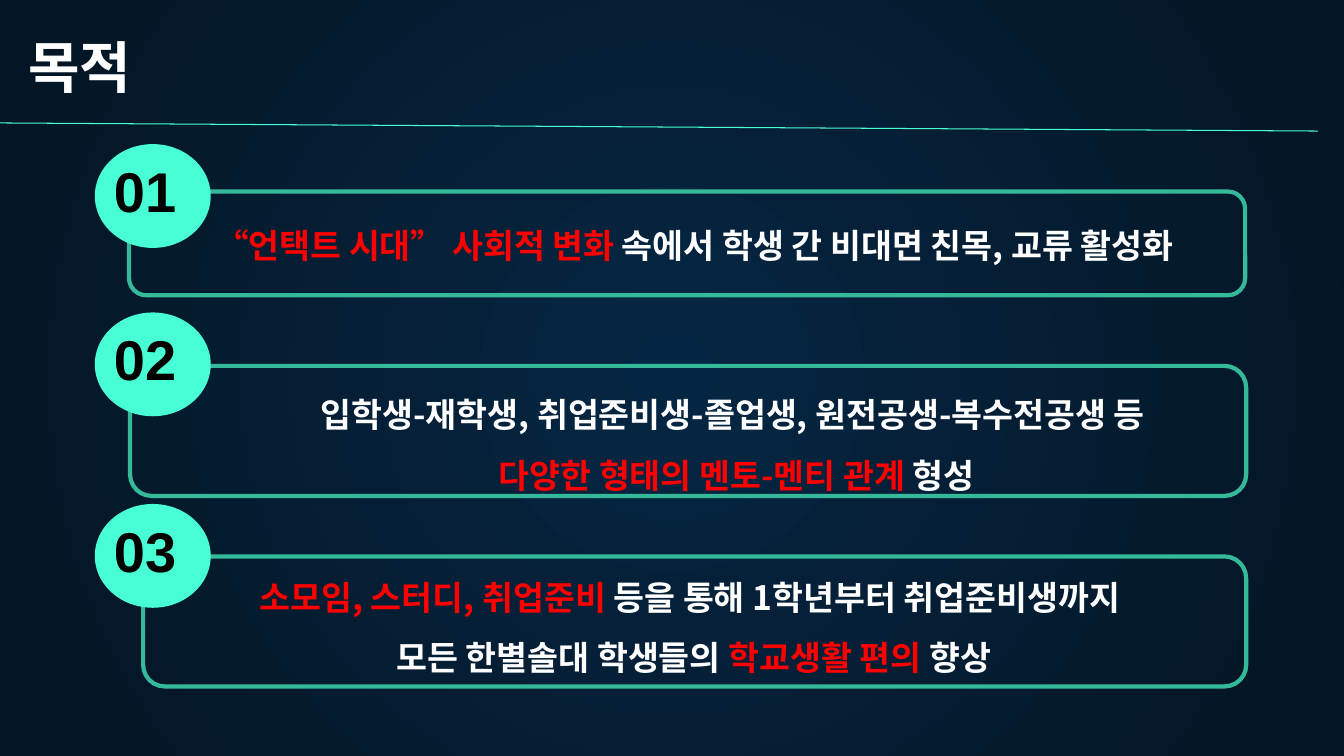
from pptx import Presentation
from pptx.dml.color import RGBColor
from pptx.enum import shapes, text
from pptx.oxml import parse_xml
from pptx.oxml.ns import nsdecls, qn
from pptx.util import Inches, Pt

WHITE = RGBColor(0xFF, 0xFF, 0xFF)
BLACK = RGBColor(0, 0, 0)
RED = RGBColor(0xFF, 0, 0)
MINT = RGBColor(0x48, 0xFF, 0xD5)
GREEN = RGBColor(0x34, 0xBA, 0x9B)
NAVY = RGBColor(0x05, 0x26, 0x43)
DARK = RGBColor(0x04, 0x15, 0x23)
KOREAN = "Noto Sans CJK KR"

GOALS = [
    ("01", 1.43, (1.28, 1.9, 11.07, 1.03), (1.35, 1.72, 11.07, 1.01), 1,
     [[("“언택트 시대” 사회적 변화 ", RED),
       ("속에서 학생 간 비대면 친목, 교류 활성화", WHITE)]]),
    ("02", 3.1, (1.29, 3.63, 11.07, 1.29), (1.65, 4.05, 11.31, 0.96), 1.5,
     [[("입학생-재학생, 취업준비생-졸업생, 원전공생-복수전공생 등 ", WHITE)],
      [("다양한 형태의 멘토-멘티 관계 ", RED), ("형성", WHITE)]]),
    ("03", 5, (1.42, 5.52, 10.94, 1.29), (0.69, 5.52, 12.38, 1.3), 1.5,
     [[("소모임, 스터디, 취업준비 ", RED),
       ("등을 통해 1학년부터 취업준비생까지 ", WHITE)],
      [("모든 한별솔대 학생들의 ", WHITE), ("학교생활 편의", RED),
       (" 향상", WHITE)]]),
]


def place(shape, box):
    shape.left, shape.top, shape.width, shape.height = map(Inches, box)


def write(shape, lines, size, face, align, inset, space=1):
    frame = shape.text_frame
    frame.word_wrap = True
    frame.auto_size = text.MSO_AUTO_SIZE.NONE
    frame.vertical_anchor = text.MSO_ANCHOR.BOTTOM
    frame.margin_left = frame.margin_right = Inches(inset)
    frame.margin_top = frame.margin_bottom = Inches(inset)
    para = frame.paragraphs[0]
    para.alignment = align
    para.line_spacing = space
    para.space_before = para.space_after = Pt(0)
    props = para._p.get_or_add_pPr()
    props.set("marL", "0")
    props.set("indent", "0")
    props.append(parse_xml(f"<a:buNone {nsdecls('a')}/>"))
    for row, line in enumerate(lines):
        if row:
            para.add_line_break()
        for words, color in line:
            run = para.add_run()
            run.text = words
            font = run.font
            font.name, font.size, font.bold = face, Pt(size), True
            font.color.rgb = color
            run._r.get_or_add_rPr().append(
                parse_xml(f'<a:ea {nsdecls("a")} typeface="{face}"/>'))


def backdrop(slide):
    fill = slide.background.fill
    fill.gradient()
    for stop, color in zip(fill.gradient_stops, (NAVY, DARK)):
        stop.color.rgb = color
    grad = fill._fill._gradFill
    grad.replace(grad.find(qn("a:lin")), parse_xml(
        f'<a:path {nsdecls("a")} path="circle">'
        '<a:fillToRect l="50000" t="50000" r="50000" b="50000"/></a:path>'))


def header(slide, box):
    left, top, width, height = box
    title = slide.shapes.title
    place(title, (left + 0.15, top + 0.24, width - 1.76, height - 0.42))
    write(title, [[("목적", WHITE)]], 40, KOREAN, text.PP_ALIGN.LEFT, 0.13)
    rule = slide.shapes.add_connector(
        shapes.MSO_CONNECTOR.STRAIGHT, Inches(left), Inches(top + 1.22),
        Inches(left + 13.07), Inches(top + height))
    rule.line.color.rgb = MINT
    rule.line.width = Pt(0.75)
    rule._element.spPr.append(parse_xml(f"<a:effectLst {nsdecls('a')}/>"))


def badge(slide, label, box):
    left, top, width, height = box
    disc = slide.shapes.add_shape(shapes.MSO_SHAPE.OVAL, *map(Inches, box))
    disc.shadow.inherit = False
    disc.fill.solid()
    disc.fill.fore_color.rgb = MINT
    disc.line.fill.background()
    num = slide.shapes.add_textbox(
        *map(Inches, (left + 0.06, top + 0.04, 0.99, 0.88)))
    write(num, [[(label, BLACK)]], 40, "Arial", text.PP_ALIGN.LEFT, 0.13)


def goal(slide, body, label, top, box, area, space, lines):
    panel = slide.shapes.add_shape(
        shapes.MSO_SHAPE.ROUNDED_RECTANGLE, *map(Inches, box))
    panel.shadow.inherit = False
    panel.fill.background()
    panel.line.color.rgb = GREEN
    panel.line.width = Pt(3)
    place(body, area)
    write(body, lines, 24, KOREAN, text.PP_ALIGN.CENTER, 0.1, space)
    badge(slide, label, (0.94, top, 1.15, 1.03))


def main():
    deck = Presentation()
    deck.slide_width, deck.slide_height = Inches(13.33), Inches(7.5)
    slide = deck.slides.add_slide(deck.slide_layouts[4])
    backdrop(slide)
    header(slide, (0, 0, 13.18, 1.3))
    *bodies, spare = list(slide.placeholders)[1:]
    spare._element.getparent().remove(spare._element)
    for body, item in zip(bodies, GOALS):
        goal(slide, body, *item)
    deck.save("out.pptx")


if __name__ == "__main__":
    main()
